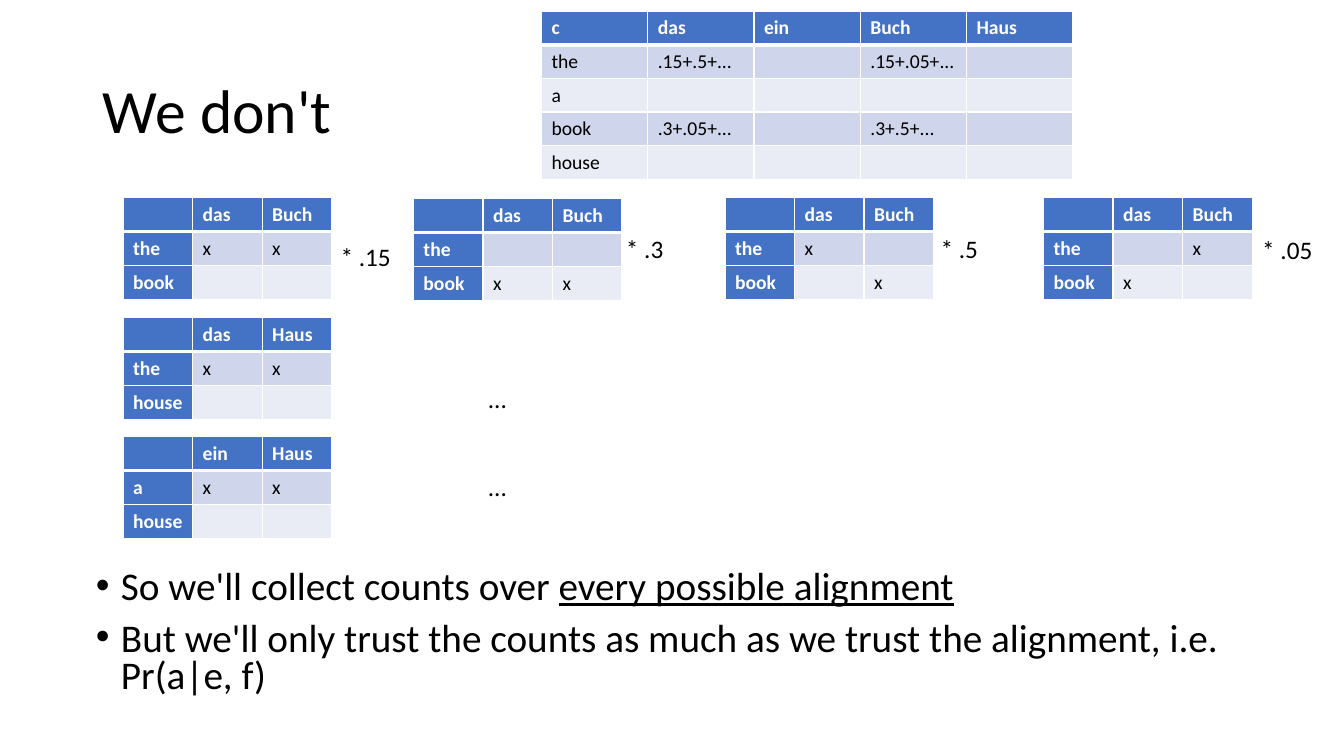
import pptx
import pptx.util
import pptx.dml.color
import pptx.enum.text
import pptx.oxml.ns
import lxml.etree

PX = 9144
FONT = "Calibri"
COLORS = {"head": "4472C4", "odd": "CFD5EA", "even": "E9EBF5", "white": "FFFFFF", "black": "000000"}
ALIGNMENTS = [
    ((122, 196), "das", "Buch", "the", "book", "xx", "  "),
    ((122, 315), "das", "Haus", "the", "house", "xx", "  "),
    ((122, 433), "ein", "Haus", "a", "house", "xx", "  "),
    ((410, 197), "das", "Buch", "the", "book", "  ", "xx"),
    ((719, 196), "das", "Buch", "the", "book", "x ", " x"),
    ((1035, 196), "das", "Buch", "the", "book", " x", "x "),
]
LABELS = [
    ("* .15", (328, 234, 71, 40)),
    ("* .3", (611, 227, 58, 40)),
    ("* .5", (923, 227, 58, 40)),
    ("* .05", (1242, 228, 71, 40)),
    ("...", (474, 375, 39, 40)),
    ("...", (474, 463, 39, 40)),
]
COUNTS = [
    ["c", "das", "ein", "Buch", "Haus"],
    ["the", ".15+.5+...", "", ".15+.05+...", ""],
    ["a", "", "", "", ""],
    ["book", ".3+.05+...", "", ".3+.5+...", ""],
    ["house", "", "", "", ""],
]
BULLETS = [
    [("So we'll collect counts over ", False), ("every possible alignment", True)],
    [("But we'll only trust the counts as much as we trust the alignment, i.e. Pr(a|e, f)", False)],
]


def emu(box):
    """Turn px lengths into EMU."""
    return [pptx.util.Emu(round(v * PX)) for v in box]


def rgb(name):
    """Look up a named colour."""
    return pptx.dml.color.RGBColor.from_string(COLORS[name])


def add_run(p, text, size, color="black", bold=False, underline=False):
    """Add one formatted run to a paragraph."""
    r = p.add_run()
    r.text = text
    r.font.name, r.font.size = FONT, pptx.util.Pt(size)
    r.font.bold, r.font.underline = bold, underline
    r.font.color.rgb = rgb(color)


def sub(parent, tag, **attrs):
    """Append a DrawingML child element."""
    return lxml.etree.SubElement(parent, pptx.oxml.ns.qn("a:" + tag), attrs)


def add_borders(cell, row):
    """Draw white cell borders, thick under the header row."""
    tcPr = cell._tc.get_or_add_tcPr()
    thick = {0: "lnB", 1: "lnT"}.get(row)
    for side in ("lnL", "lnR", "lnT", "lnB"):
        ln = sub(tcPr, side, w=str(pptx.util.Pt(3 if side == thick else 1)))
        sub(sub(ln, "solidFill"), "srgbClr", val=COLORS["white"])


def add_grid(s, box, rows, first_col):
    """Place a banded table with a header row and optional header column."""
    frame = s.shapes.add_table(len(rows), len(rows[0]), *emu(box))
    table = frame.table
    table.first_col = first_col
    for i, row in enumerate(rows):
        for j, text in enumerate(row):
            cell = table.cell(i, j)
            head = i == 0 or (first_col and j == 0)
            add_borders(cell, i)
            cell.fill.solid()
            cell.fill.fore_color.rgb = rgb("head" if head else "odd" if i % 2 else "even")
            p = cell.text_frame.paragraphs[0]
            if text:
                add_run(p, text, 14, "white" if head else "black", bold=head)
            else:
                sub(p._p, "endParaRPr", sz="1400")


def add_label(s, box, text):
    """Place a short one-line label."""
    tf = s.shapes.add_textbox(*emu(box)).text_frame
    tf.word_wrap = False
    tf.auto_size = pptx.enum.text.MSO_AUTO_SIZE.SHAPE_TO_FIT_TEXT
    add_run(tf.paragraphs[0], text, 18)


def place(sp, box, anchor):
    """Move a placeholder to a box and return its text frame."""
    sp.left, sp.top, sp.width, sp.height = emu(box)
    tf = sp.text_frame
    tf.word_wrap = True
    tf.auto_size = pptx.enum.text.MSO_AUTO_SIZE.NONE
    tf.vertical_anchor = anchor
    return tf


def fill_title(sp, box):
    """Write the slide title."""
    p = place(sp, box, pptx.enum.text.MSO_ANCHOR.MIDDLE).paragraphs[0]
    p.alignment = pptx.enum.text.PP_ALIGN.LEFT
    p.line_spacing = 0.9
    add_run(p, "We don't", 44)


def fill_body(sp, box):
    """Write the bulleted list."""
    tf = place(sp, box, pptx.enum.text.MSO_ANCHOR.TOP)
    for i, runs in enumerate(BULLETS):
        p = tf.add_paragraph() if i else tf.paragraphs[0]
        p.line_spacing, p.space_before = 0.8, pptx.util.Pt(10)
        pPr = p._p.get_or_add_pPr()
        pPr.set("marL", str(25 * PX))
        pPr.set("indent", str(-25 * PX))
        sub(pPr, "buFont", typeface="Arial")
        sub(pPr, "buChar", char="•")
        for text, underline in runs:
            add_run(p, text, 28, underline=underline)


def main():
    """Build and save the slide."""
    prs = pptx.Presentation()
    prs.slide_width, prs.slide_height = emu((1333, 750))
    s = prs.slides.add_slide(prs.slide_layouts[1])
    fill_title(s.shapes.title, (92, 40, 1150, 145))
    fill_body(s.placeholders[1], (85, 561, 1150, 143))
    for (x, y), f1, f2, e1, e2, marks1, marks2 in ALIGNMENTS:
        rows = [["", f1, f2], [e1, *marks1], [e2, *marks2]]
        add_grid(s, (x, y, 207, 100), [[t.strip() for t in row] for row in rows], True)
    for text, box in LABELS:
        add_label(s, box, text)
    add_grid(s, (537, 11, 527, 167), COUNTS, False)
    prs.save("out.pptx")


if __name__ == "__main__":
    main()
